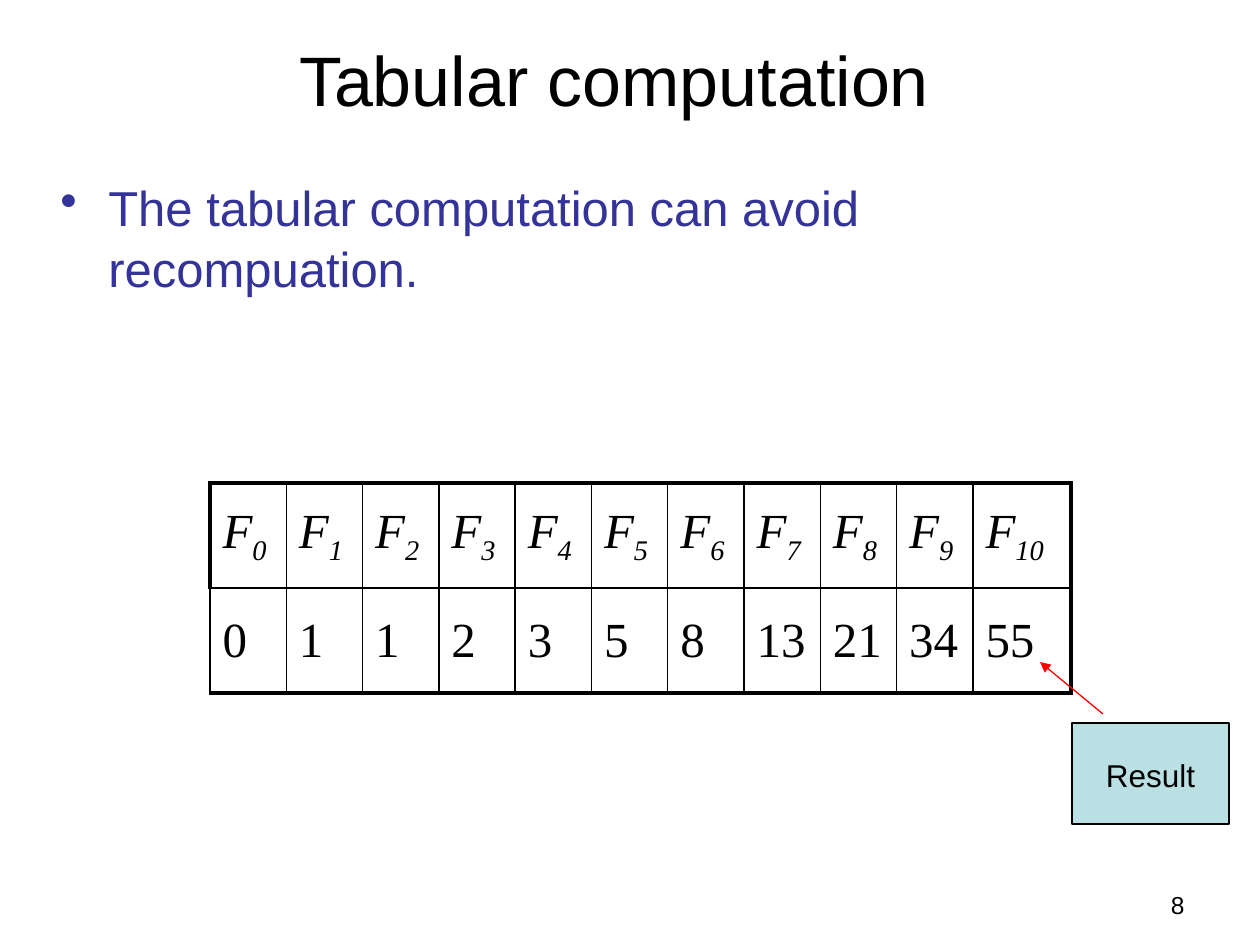
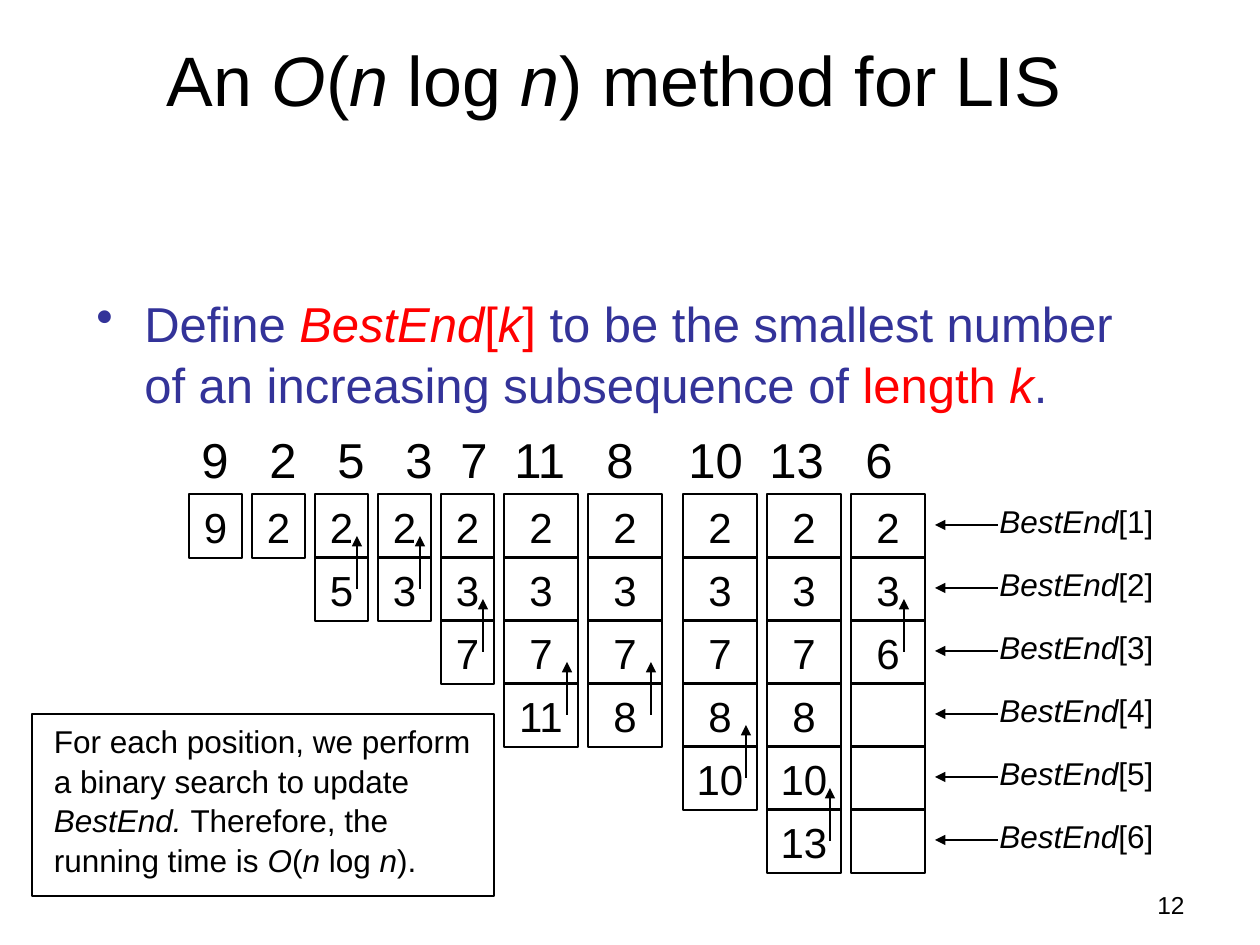
from dataclasses import dataclass

from lxml.etree import SubElement
from pptx import Presentation
from pptx.dml.color import RGBColor
from pptx.enum.shapes import MSO_CONNECTOR, MSO_SHAPE
from pptx.enum.text import MSO_ANCHOR, MSO_AUTO_SIZE, PP_ALIGN
from pptx.oxml import parse_xml
from pptx.oxml.ns import nsdecls, qn
from pptx.util import Emu, Pt

PX_PER_INCH = 126
SLIDE_BOX = (0, 0, 1260, 945)


@dataclass(frozen=True)
class Theme:
    font: str = "Arial"
    math_font: str = "Times New Roman"
    black: RGBColor = RGBColor(0, 0, 0)
    body_blue: RGBColor = RGBColor(0x33, 0x33, 0x99)
    red: RGBColor = RGBColor(0xFF, 0, 0)
    callout_fill: RGBColor = RGBColor(0xBB, 0xE0, 0xE3)
    title_size: int = 40
    body_size: int = 28
    cell_size: int = 24
    label_size: int = 18
    number_size: int = 14
    thin_line: float = 0.75
    inner_border: float = 1
    outer_border: float = 2.25
    line_spacing: float = 1.05


THEME = Theme()


def px(length):
    return Emu(round(length * 914400 / PX_PER_INCH))


def box_emu(box):
    return [px(length) for length in box]


def style_font(font, size, color=THEME.black, name=THEME.font):
    font.name, font.size = name, Pt(size)
    font.color.rgb = color


def write_runs(paragraph, runs):
    """Add (text, marks) runs; mark i is italic, r is red, - is lowered."""
    for text, marks in runs:
        run = paragraph.add_run()
        run.text = text
        if "i" in marks:
            run.font.italic = True
        if "r" in marks:
            run.font.color.rgb = THEME.red
        if "-" in marks:
            run.font._element.set("baseline", "-25000")


def fill_text(shape, runs, size, color=THEME.black, align=PP_ALIGN.LEFT,
              anchor=MSO_ANCHOR.TOP, wrap=True):
    frame = shape.text_frame
    frame.word_wrap = wrap
    frame.auto_size = MSO_AUTO_SIZE.NONE
    frame.vertical_anchor = anchor
    paragraph = frame.paragraphs[0]
    paragraph.alignment = align
    paragraph.line_spacing = THEME.line_spacing
    write_runs(paragraph, runs)
    style_font(paragraph.font, size, color)
    return paragraph


def add_text(slide, box, runs, size, **options):
    shape = slide.shapes.add_textbox(*box_emu(box))
    return fill_text(shape, runs, size, **options)


def add_rectangle(slide, box, fill=None):
    shape = slide.shapes.add_shape(MSO_SHAPE.RECTANGLE, *box_emu(box))
    shape.shadow.inherit = False
    if fill is None:
        shape.fill.background()
    else:
        shape.fill.solid()
        shape.fill.fore_color.rgb = fill
    shape.line.color.rgb = THEME.black
    shape.line.width = Pt(THEME.thin_line)
    return shape


def add_arrow(slide, start, end, color=THEME.black):
    arrow = slide.shapes.add_connector(
        MSO_CONNECTOR.STRAIGHT, *box_emu(start + end))
    arrow.line.color.rgb = color
    arrow.line.width = Pt(THEME.thin_line)
    SubElement(arrow.line._get_or_add_ln(), qn("a:tailEnd"), type="triangle")
    SubElement(arrow._element.spPr, qn("a:effectLst"))


def add_bullet(slide, box, runs):
    paragraph = add_text(slide, box, runs, THEME.body_size,
                         color=THEME.body_blue)
    properties = paragraph._p.get_or_add_pPr()
    properties.set("marL", str(px(48)))
    properties.set("indent", str(-px(48)))
    bullet = parse_xml(f'<a:buChar {nsdecls("a")} char="•"/>')
    properties.find(qn("a:defRPr")).addprevious(bullet)


def add_titled_slide(presentation, title_runs, number):
    slide = presentation.slides.add_slide(presentation.slide_layouts[5])
    title = slide.shapes.title
    title.left, title.top, title.width, title.height = box_emu(
        (47, 14, 1134, 125))
    fill_text(title, title_runs, THEME.title_size, align=PP_ALIGN.CENTER,
              anchor=MSO_ANCHOR.MIDDLE)
    add_text(slide, (903, 882, 294, 44), [(str(number), "")],
             THEME.number_size, align=PP_ALIGN.RIGHT)
    return slide


def set_borders(cell, widths):
    """Draw the left, right, top and bottom borders, in points."""
    properties = cell._tc.get_or_add_tcPr()
    for index, (side, width) in enumerate(zip("LRTB", widths)):
        properties.insert(index, parse_xml(
            f'<a:ln{side} {nsdecls("a")} w="{Pt(width)}"><a:solidFill>'
            f'<a:srgbClr val="{THEME.black}"/></a:solidFill></a:ln{side}>'))


def add_fibonacci_table(slide, box, values):
    left, top, width, height = box
    last = len(values) - 1
    last_width = 98
    table = slide.shapes.add_table(2, len(values), *box_emu(box)).table
    table.first_row = table.horz_banding = False
    for row in table.rows:
        row.height = px(height / 2)
    for index, value in enumerate(values):
        table.columns[index].width = px(
            last_width if index == last else (width - last_width) / last)
        entries = ([("F", "i"), (str(index), "i-")], [(str(value), "")])
        for row, runs in enumerate(entries):
            cell = table.cell(row, index)
            cell.fill.background()
            cell.vertical_anchor = MSO_ANCHOR.MIDDLE
            paragraph = cell.text_frame.paragraphs[0]
            write_runs(paragraph, runs)
            style_font(paragraph.font, THEME.body_size, name=THEME.math_font)
            # Table cells take their type from the runs
            for run in paragraph.runs:
                style_font(run.font, THEME.body_size, name=THEME.math_font)
            outer = (row == index == 0, index == last, row == 0, row == 1)
            set_borders(cell, [THEME.outer_border if edge
                               else THEME.inner_border for edge in outer])


def add_result_callout(slide, box):
    left, top, width, height = box
    shape = add_rectangle(slide, box, THEME.callout_fill)
    fill_text(shape, [("Result", "")], THEME.label_size,
              align=PP_ALIGN.CENTER, anchor=MSO_ANCHOR.MIDDLE, wrap=False)
    add_arrow(slide, (left + 31, top - 9), (left - 32, top - 61), THEME.red)


def add_sequence(slide, box, numbers, tab_stops):
    paragraph = add_text(slide, box, [("\t".join(numbers), "")],
                         THEME.body_size)
    tabs = parse_xml(f'<a:tabLst {nsdecls("a")}/>')
    for stop in tab_stops:
        SubElement(tabs, qn("a:tab"), pos=str(px(stop)), algn="l")
    paragraph._p.pPr.find(qn("a:defRPr")).addprevious(tabs)


ROW_PITCH = 63
CELL_HEIGHT = 64
NARROW, WIDE = 53, 74


def add_best_end_column(slide, box, values, arrow_inset):
    """Stack one cell per value; an arrow marks the newest one."""
    left, top, width, height = box
    for row, value in enumerate(values):
        cell = add_rectangle(slide, (left, top + row * ROW_PITCH, width, height))
        if value:
            fill_text(cell, [(str(value), "")], THEME.cell_size,
                      align=PP_ALIGN.CENTER, anchor=MSO_ANCHOR.MIDDLE,
                      wrap=False)
    if arrow_inset:
        newest = sum(value is not None for value in values) - 1
        x = left + width - arrow_inset
        tip = top + newest * ROW_PITCH - 21
        add_arrow(slide, (x, tip + 53), (x, tip))


def add_best_end_labels(slide, box, count):
    left, top, width, height = box
    for index in range(count):
        row_top = top + index * ROW_PITCH
        middle = row_top + 31
        add_arrow(slide, (left + 63, middle), (left, middle))
        add_text(slide, (left + 52, row_top, width - 52, height),
                 [("BestEnd", "i"), (f"[{index + 1}]", "")], THEME.label_size)


def add_running_time_note(slide, box):
    note = add_rectangle(slide, box)
    fill_text(note, [
        ("For each position, we perform a binary search to update ", ""),
        ("BestEnd. ", "i"), ("Therefore, the running time is ", ""),
        ("O", "i"), ("(", ""), ("n ", "i"), ("log ", ""), ("n", "i"),
        (").", "")], THEME.label_size)
    note.text_frame.margin_left = px(22)


def build_tabular_slide(presentation):
    slide = add_titled_slide(presentation, [("Tabular computation", "")], 8)
    add_bullet(slide, (48, 168, 1134, 699), [
        ("The tabular computation can avoid recompuation.", "")])
    add_fibonacci_table(slide, (210, 483, 861, 210),
                        [0, 1, 1, 2, 3, 5, 8, 13, 21, 34, 55])
    add_result_callout(slide, (1072, 723, 157, 101))


def build_lis_slide(presentation):
    slide = add_titled_slide(presentation, [
        ("An ", ""), ("O", "i"), ("(", ""), ("n ", "i"), ("log ", ""),
        ("n", "i"), (") method for LIS", "")], 12)
    add_bullet(slide, (84, 284, 1071, 567), [
        ("Define ", ""), ("BestEnd", "ir"), ("[", "r"), ("k", "ir"),
        ("]", "r"),
        (" to be the smallest number of an increasing subsequence of ", ""),
        ("length ", "r"), ("k", "ir"), (".", "")])
    add_sequence(slide, (189, 420, 851, 74),
                 ["9", "2", "5", "3", "7", "11", "8", "10", "13", "6"],
                 [68, 136, 204, 259, 313, 405, 487, 568, 664])
    columns = [
        (189, NARROW, [9], 0),
        (252, NARROW, [2], 0),
        (315, NARROW, [2, 5], 11),
        (378, NARROW, [2, 3], 11),
        (441, NARROW, [2, 3, 7], 11),
        (504, WIDE, [2, 3, 7, 11], 11),
        (588, WIDE, [2, 3, 7, 8], 11),
        (683, WIDE, [2, 3, 7, 8, 10], 11),
        (767, WIDE, [2, 3, 7, 8, 10, 13], 11),
        (851, WIDE, [2, 3, 6, None, None, None], 21),
    ]
    grid_top = 494
    for left, width, values, arrow_inset in columns:
        add_best_end_column(slide, (left, grid_top, width, CELL_HEIGHT),
                            values, arrow_inset)
    add_best_end_labels(slide, (935, grid_top, 251, 54), 6)
    add_running_time_note(slide, (32, 714, 462, 182))


def main():
    presentation = Presentation()
    presentation.slide_width, presentation.slide_height = box_emu(SLIDE_BOX)[2:]
    build_tabular_slide(presentation)
    build_lis_slide(presentation)
    presentation.save("out.pptx")


if __name__ == "__main__":
    main()
